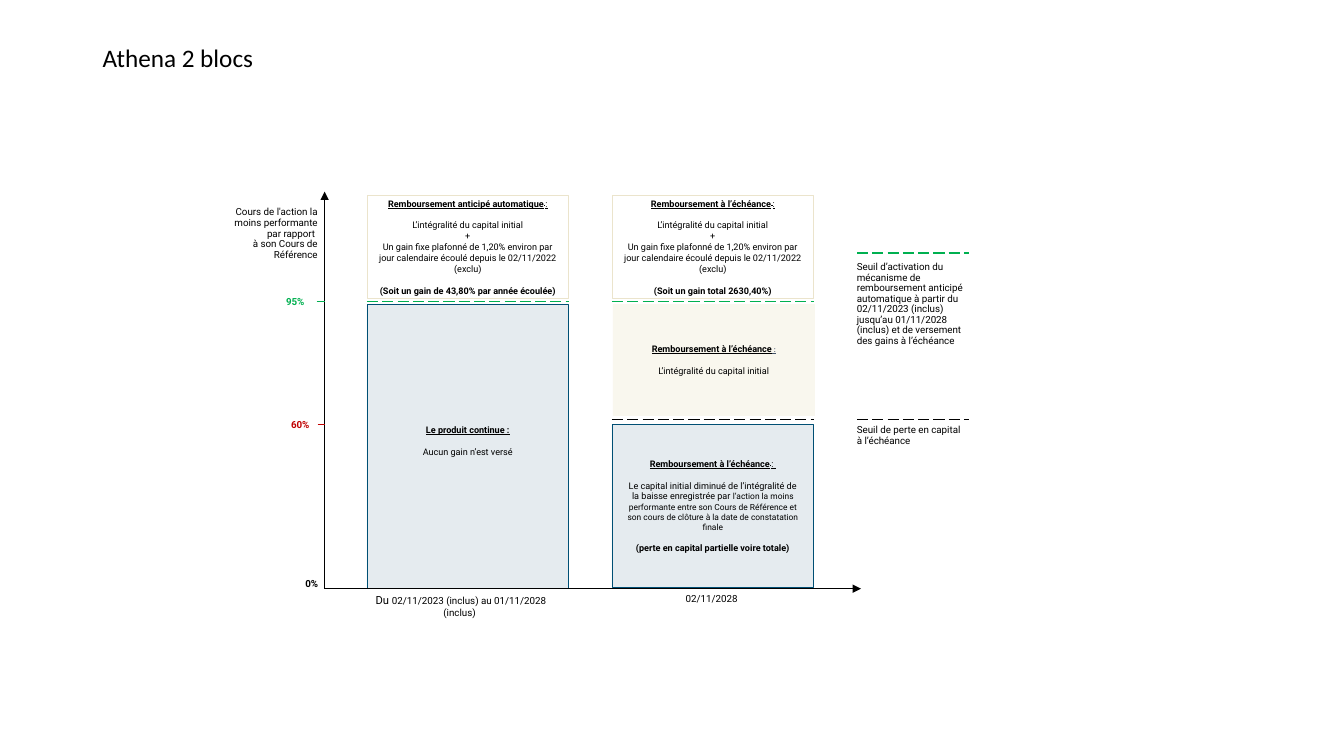
from dataclasses import dataclass

from lxml.etree import SubElement
from pptx import Presentation
from pptx.dml.color import RGBColor
from pptx.enum.dml import MSO_LINE
from pptx.enum.shapes import MSO_CONNECTOR, MSO_SHAPE
from pptx.enum.text import MSO_ANCHOR, MSO_AUTO_SIZE, PP_ALIGN
from pptx.oxml.ns import qn
from pptx.util import Inches, Pt


@dataclass(frozen=True)
class Theme:
    black: str = "000000"
    white: str = "FFFFFF"
    green: str = "00B050"
    red: str = "C00000"
    navy: str = "004F74"
    mist: str = "E5EBEF"
    sand: str = "EBE4CC"
    cream: str = "F9F7EE"
    slate: str = "44546A"
    font: str = "Roboto"
    title_font: str = "Calibri"
    title: float = 18
    large: float = 8
    label: float = 7
    body: float = 6.5
    small: float = 6
    tiny: float = 5
    gap: float = 7.7


T = Theme()
LEFT, CENTER, RIGHT = PP_ALIGN.LEFT, PP_ALIGN.CENTER, PP_ALIGN.RIGHT


def run(text, size=T.body, color=T.black, font=T.font, bold=False, underline=False, raised=False):
    return text, size, color, font, bold, underline, raised


def heading(text):
    return run(text, bold=True, underline=True)


def heading_with_colon(text):
    return [heading(text), run(" ", underline=True, raised=True), run(":", underline=True)]


class Slide:
    def __init__(self, prs, theme):
        self.theme = theme
        self.s = prs.slides.add_slide(prs.slide_layouts[6])

    def fill_text(self, tf, paragraphs, align, insets, spacing=None, gap=0):
        tf.word_wrap = True
        tf.margin_left, tf.margin_top, tf.margin_right, tf.margin_bottom = map(Inches, insets)
        for i, runs in enumerate(paragraphs):
            p = tf.add_paragraph() if i else tf.paragraphs[0]
            p.alignment = align
            if spacing:
                p.line_spacing = spacing
            if i and gap:
                p.space_before = Pt(gap)
            for text, size, color, font, bold, underline, raised in runs:
                for j, line in enumerate(text.split("\n")):
                    if j:
                        p.add_line_break()
                    r = p.add_run()
                    r.text = line
                    r.font.name = font
                    r.font.size = Pt(size)
                    r.font.bold = bold
                    r.font.underline = underline
                    r.font.color.rgb = RGBColor.from_string(color)
                    if raised:
                        r._r.get_or_add_rPr().set("baseline", "30000")

    def text(self, at, paragraphs, align=LEFT, insets=(0.1, 0.05, 0.1, 0.05), spacing=None):
        tf = self.s.shapes.add_textbox(*map(Inches, at)).text_frame
        tf.auto_size = MSO_AUTO_SIZE.SHAPE_TO_FIT_TEXT
        self.fill_text(tf, paragraphs, align, insets, spacing)

    def block(self, at, fill, border, paragraphs, bottom=0.05):
        sp = self.s.shapes.add_shape(MSO_SHAPE.RECTANGLE, *map(Inches, at))
        sp.shadow.inherit = False
        sp.fill.solid()
        sp.fill.fore_color.rgb = RGBColor.from_string(fill)
        sp.line.color.rgb = RGBColor.from_string(border)
        sp.line.width = Pt(0.25)
        sp.text_frame.vertical_anchor = MSO_ANCHOR.MIDDLE
        self.fill_text(sp.text_frame, paragraphs, CENTER, (0.12, 0.05, 0.12, bottom), gap=self.theme.gap)

    def line(self, start, end, color, width=1, dashed=False, arrow=False):
        c = self.s.shapes.add_connector(MSO_CONNECTOR.STRAIGHT, *map(Inches, start + end))
        c.line.color.rgb = RGBColor.from_string(color)
        c.line.width = Pt(width)
        if dashed:
            c.line.dash_style = MSO_LINE.LONG_DASH
        if arrow:
            SubElement(c.line._get_or_add_ln(), qn("a:tailEnd"), type="triangle")
        SubElement(c._element.spPr, qn("a:effectLst"))


def main():
    prs = Presentation()
    prs.slide_width, prs.slide_height = Inches(13.33), Inches(7.5)
    s = Slide(prs, T)
    early, maturity, legend, width = 3.64, 6.07, 8.5, 2
    axis, base, top = 3.22, 5.84, 1.94
    gain_level, loss_level = 2.99, 4.16
    tight = (0, 0.05, 0, 0.05)

    s.text((0.92, 0.37, 6.22, 0.4), [[run("Athena 2 blocs", T.title, font=T.title_font)]])

    s.block((maturity, 4.21, width, 1.62), T.mist, T.navy, [
        heading_with_colon("Remboursement à l’échéance") + [heading(" ")],
        [run("Le capital initial diminué de l’intégralité de la baisse enregistrée par "),
         run("l’action la moins performante entre son Cours de Référence et son cours de "
             "clôture à la date de constatation finale", T.small)],
        [run("(perte en capital partielle voire totale)", bold=True)],
    ])
    s.block((early, 3.02, width, 2.82), T.mist, T.navy, [
        [heading("Le produit continue :")],
        [run("Aucun gain n’est versé")],
    ], bottom=0.16)
    s.block((maturity + 0.01, 3.02, width, 1.1), T.cream, T.cream, [
        [heading("Remboursement à l’échéance"),
         run(" :", T.tiny, T.slate, bold=True, underline=True)],
        [run("L’intégralité du capital initial")],
    ])
    for left, title, total in (
        (early, "Remboursement anticipé automatique", "(Soit un gain de 43,80% par année écoulée)"),
        (maturity, "Remboursement à l’échéance", "(Soit un gain total 2630,40%)"),
    ):
        s.block((left, top, width, 1.02), T.white, T.sand, [
            heading_with_colon(title),
            [run("L’intégralité du capital initial\n+\nUn gain fixe plafonné de 1,20% environ par "
                 "jour calendaire écoulé depuis le 02/11/2022 (exclu)")],
            [run(total, bold=True)],
        ])

    s.line((axis, base), (axis, 1.9), T.black, 0.75, arrow=True)
    s.line((axis, base), (8.54, base), T.black, 0.75, arrow=True)
    s.line((3.14, gain_level), (axis, gain_level), T.green)
    s.line((3.15, 4.21), (axis, 4.21), T.red)
    for left, y, length, color in (
        (early, gain_level, width, T.green),
        (maturity, gain_level, width, T.green),
        (maturity, loss_level, width, T.black),
        (legend, 2.51, 1.11, T.green),
        (legend, loss_level, 1.11, T.black),
    ):
        s.line((left, y), (left + length, y), color, dashed=True)

    for at, label, color, insets in (
        ((2.77, 2.88, 0.34, 0.22), "95% ", T.green, tight),
        ((2.82, 4.1, 0.34, 0.22), "60% ", T.red, tight),
        ((2.93, 5.68, 0.42, 0.22), "0%", T.black, (0, 0.05, 0.1, 0.05)),
    ):
        s.text(at, [[run(label, T.label, color, bold=True)]], CENTER, insets)
    s.text((2.32, 2.01, 0.83, 0.53), [
        [run("Cours de l'action la moins performante par rapport ", T.label)],
        [run("à son Cours de Référence", T.label)],
    ], RIGHT, tight, 0.9)
    s.text((3.51, 5.84, 2.12, 0.24), [
        [run("Du ", T.large), run("02/11/2023 (inclus) au 01/11/2028 (inclus) ", T.label)],
    ], CENTER)
    s.text((maturity, 5.83, width, 0.22), [[run("02/11/2028 ", T.label)]], CENTER)
    for at, note in (
        ((8.4, 2.55, 1.35, 0.95),
         "Seuil d’activation du mécanisme de remboursement anticipé automatique à partir du "
         "02/11/2023 (inclus) jusqu’au 01/11/2028 (inclus) et de versement des gains à l’échéance"),
        ((8.4, 4.17, 1.29, 0.31), "Seuil de perte en capital à l’échéance"),
    ):
        s.text(at, [[run(note, T.label)]], spacing=0.9)

    prs.save("out.pptx")


if __name__ == "__main__":
    main()
